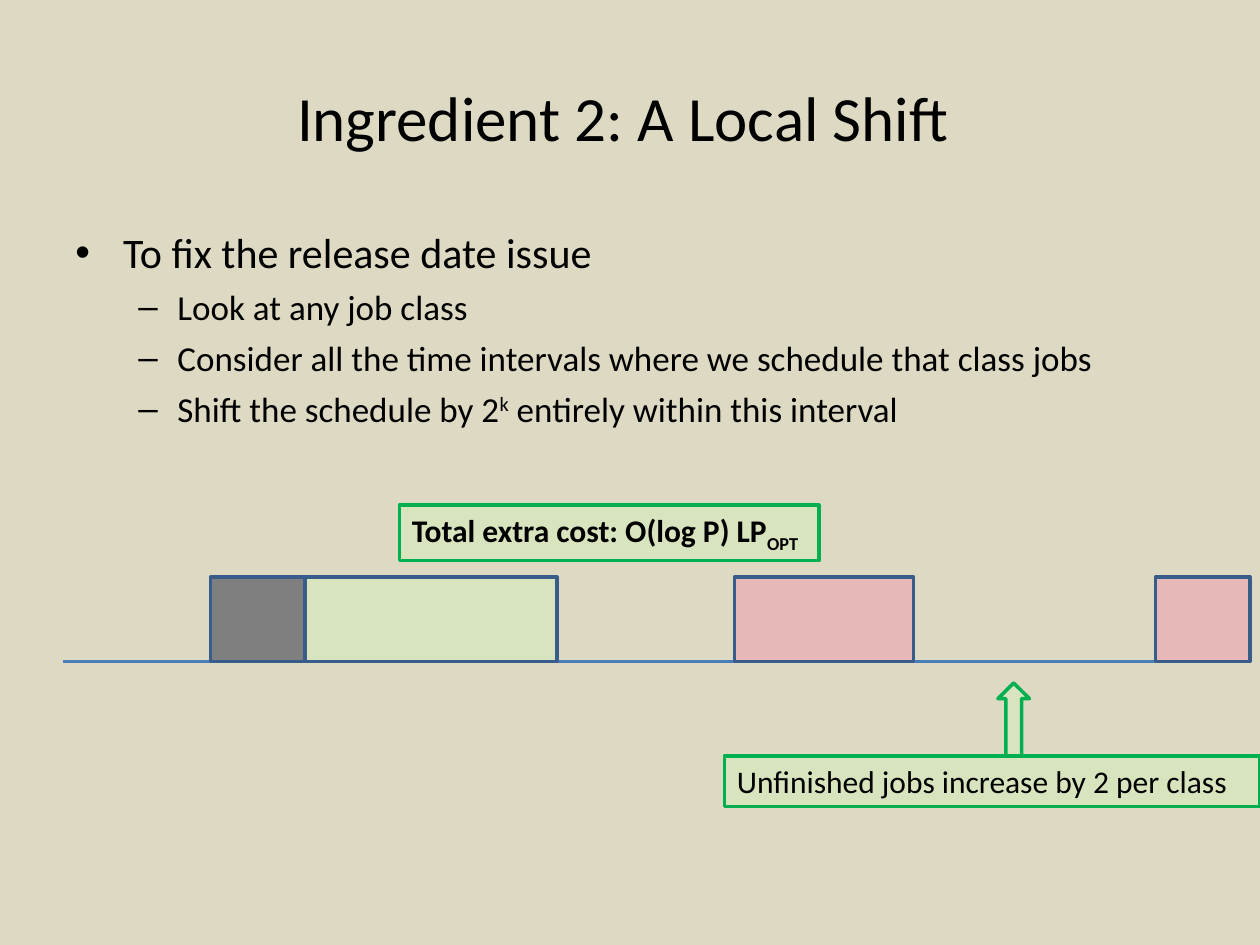
"""Build the slide about shifting a job schedule locally."""
from lxml import etree
from pptx import Presentation
from pptx.dml.color import RGBColor
from pptx.enum.shapes import MSO_CONNECTOR, MSO_SHAPE
from pptx.enum.text import MSO_ANCHOR, PP_ALIGN
from pptx.oxml.ns import qn
from pptx.util import Inches, Pt

RECTANGLE, UP_ARROW = MSO_SHAPE.RECTANGLE, MSO_SHAPE.UP_ARROW
STRAIGHT = MSO_CONNECTOR.STRAIGHT
TOP, MIDDLE = MSO_ANCHOR.TOP, MSO_ANCHOR.MIDDLE
LEFT, CENTER = PP_ALIGN.LEFT, PP_ALIGN.CENTER

BLACK, SAND, GRAY = "000000", "DDD9C3", "7F7F7F"
PINK, LIME = "E6B9B8", "D7E4BD"
AXIS_BLUE, EDGE_BLUE, GREEN = "4A7EBB", "385D8A", "00B050"

TITLE = [("Ingredient 2: A Local Shift ", 0)]
BULLETS = [
    (0, [("To fix the release date issue", 0)]),
    (1, [("Look at any job class", 0)]),
    (1, [("Consider all the time intervals where we schedule that class jobs", 0)]),
    (1, [("Shift the schedule by 2", 0), ("k", 30), (" entirely within this interval", 0)]),
]
LEVELS = [
    {"mark": "•", "size": 24, "margin": 0.38, "hang": 0.38, "before": 6},
    {"mark": "–", "size": 20, "margin": 0.81, "hang": 0.31, "before": 5},
]
AXIS_START, AXIS_END, AXIS_TOP = 0.5, 9.17, 5.25
JOB_HEIGHT = 0.67
JOBS = [(5.83, 1.42, PINK), (2.42, 2, LIME), (9.17, 0.75, PINK), (1.67, 0.75, GRAY)]
ARROW = (7.92, 5.42, 0.25, 0.58)
NOTES = [
    ((5.75, 6, 4.25, 0.4), [("Unfinished jobs increase by 2 per class", 0)], False),
    ((3.17, 4.01, 3.33, 0.44), [("Total extra cost: O(log P) LP", 0), ("OPT", -25)], True),
]


def color(value):
    return RGBColor.from_string(value)


def set_line(shape, value):
    shape.line.color.rgb = color(value)
    shape.line.width = Pt(2)


def add_block(page, kind, place, fill, edge):
    shape = page.shapes.add_shape(kind, *map(Inches, place))
    shape.shadow.inherit = False
    shape.fill.solid()
    shape.fill.fore_color.rgb = color(fill)
    set_line(shape, edge)
    return shape


def set_frame(shape, anchor):
    frame = shape.text_frame
    frame.word_wrap = True
    frame.vertical_anchor = anchor
    return frame


def write(para, spans, size, align=LEFT, bold=False):
    para.alignment = align
    for text, baseline in spans:
        span = para.add_run()
        span.text = text
        for name, value in {"name": "Calibri", "size": Pt(size), "bold": bold}.items():
            setattr(span.font, name, value)
        span.font.color.rgb = color(BLACK)
        if baseline:
            span._r.get_or_add_rPr().set("baseline", str(baseline * 1000))


def add_bullet(para, level):
    style = LEVELS[level]
    para.level = level
    para.space_before = Pt(style["before"])
    properties = para._p.get_or_add_pPr()
    properties.set("marL", str(Inches(style["margin"])))
    properties.set("indent", str(-Inches(style["hang"])))
    etree.SubElement(properties, qn("a:buFont")).set("typeface", "Arial")
    etree.SubElement(properties, qn("a:buChar")).set("char", style["mark"])


def add_axis(page):
    ends = (AXIS_START, AXIS_TOP, AXIS_END, AXIS_TOP)
    axis = page.shapes.add_connector(STRAIGHT, *map(Inches, ends))
    set_line(axis, AXIS_BLUE)
    etree.SubElement(axis._element.spPr, qn("a:effectLst"))


def main():
    deck = Presentation()
    deck.slide_width, deck.slide_height = Inches(10), Inches(7.5)
    page = deck.slides.add_slide(deck.slide_layouts[6])
    page.background.fill.solid()
    page.background.fill.fore_color.rgb = color(SAND)

    title = page.shapes.add_textbox(*map(Inches, (0.5, 0.3, 9, 1.25)))
    write(set_frame(title, MIDDLE).paragraphs[0], TITLE, 36, CENTER)

    body = page.shapes.add_textbox(*map(Inches, (0.5, 1.75, 9, 4.95)))
    frame = set_frame(body, TOP)
    for index, (level, spans) in enumerate(BULLETS):
        para = frame.add_paragraph() if index else frame.paragraphs[0]
        write(para, spans, LEVELS[level]["size"])
        add_bullet(para, level)

    add_axis(page)
    for left, width, fill in JOBS:
        place = (left, AXIS_TOP - JOB_HEIGHT, width, JOB_HEIGHT)
        add_block(page, RECTANGLE, place, fill, EDGE_BLUE)

    add_block(page, UP_ARROW, ARROW, LIME, GREEN)
    for place, spans, bold in NOTES:
        note = add_block(page, RECTANGLE, place, LIME, GREEN)
        write(set_frame(note, TOP).paragraphs[0], spans, 18, bold=bold)

    deck.save("out.pptx")


if __name__ == "__main__":
    main()
